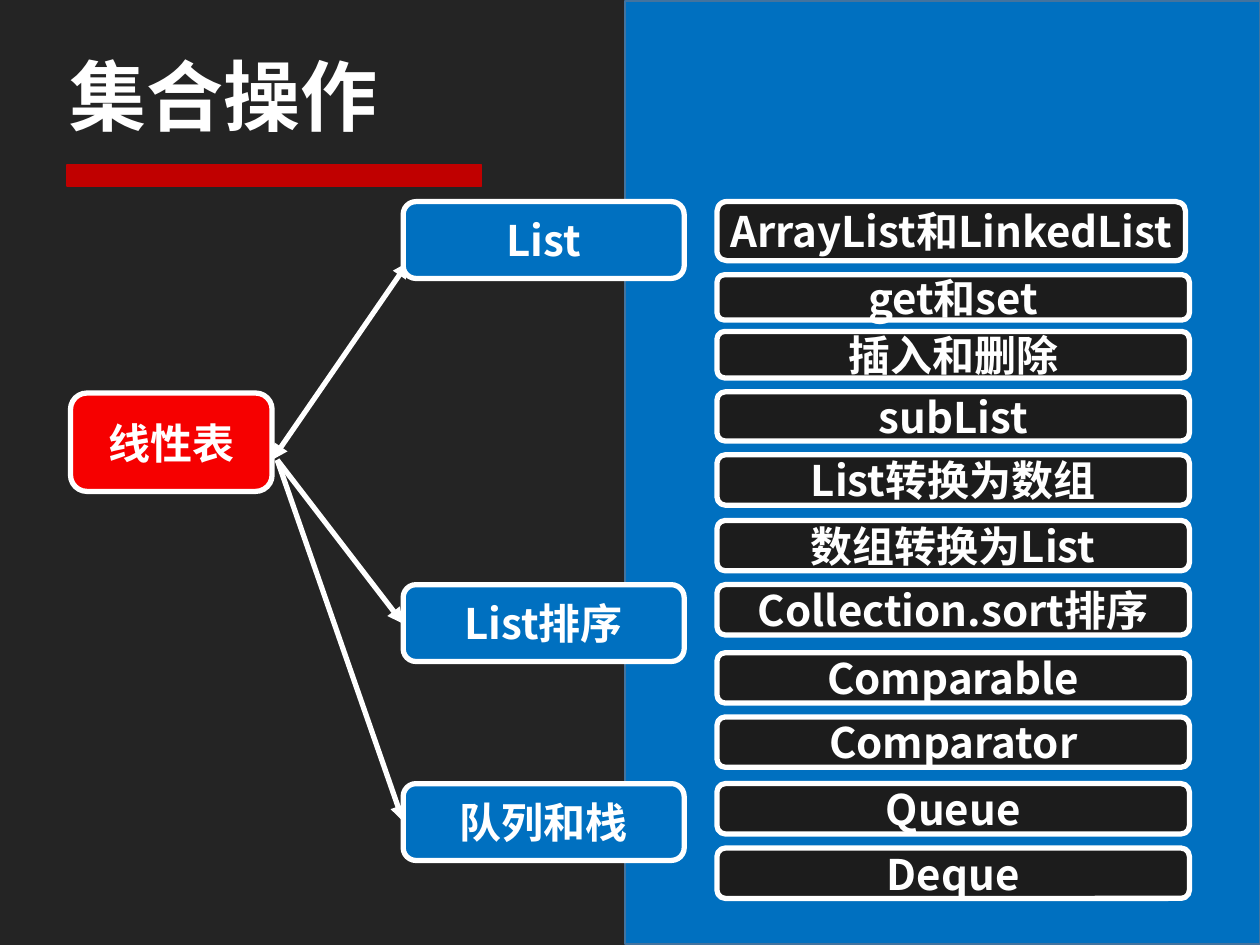
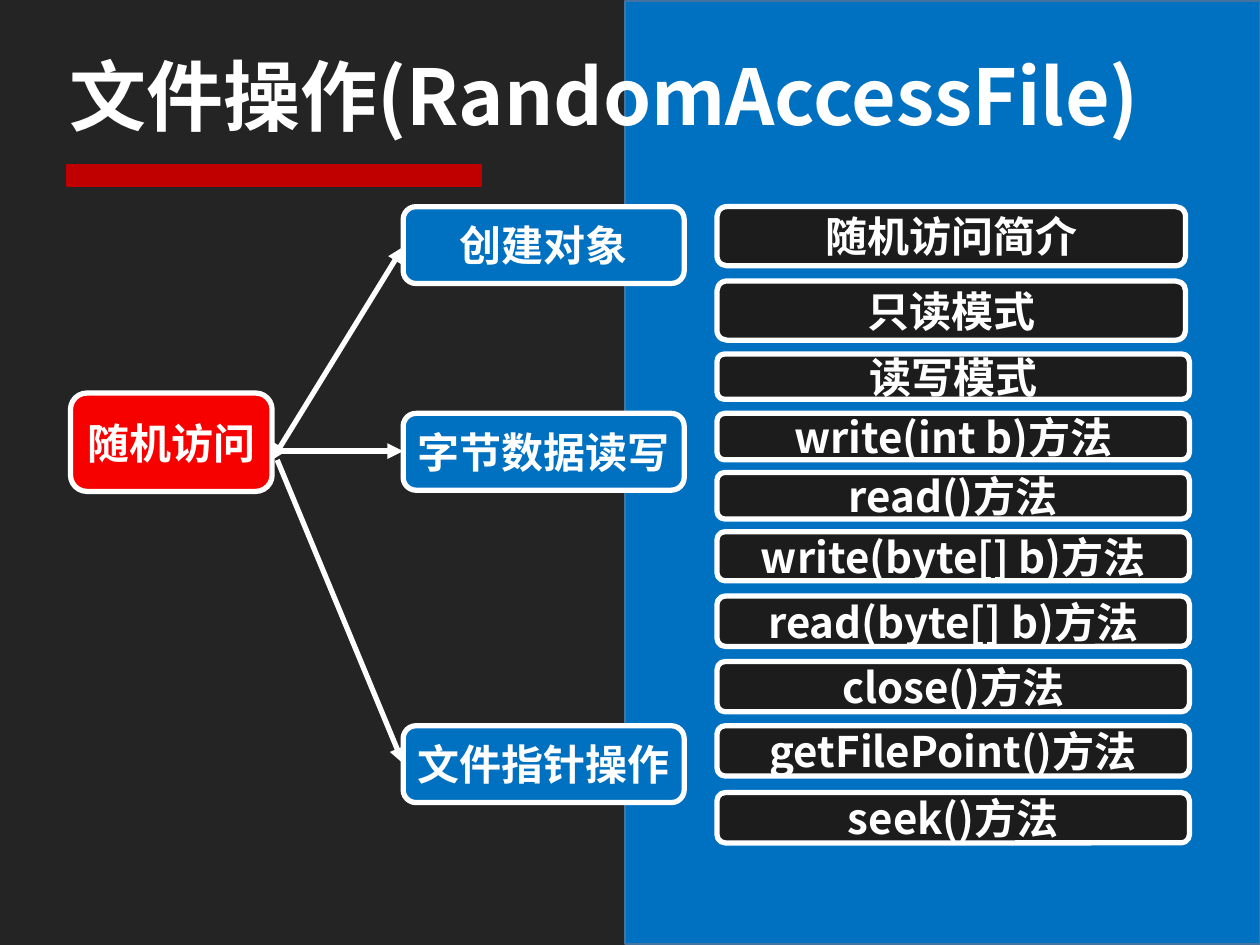
"""Build two topic-map slides on Java collections and random file access."""
from lxml.etree import SubElement
from pptx import Presentation
from pptx.dml.color import RGBColor
from pptx.enum.shapes import MSO_CONNECTOR as Connector, MSO_SHAPE as Shape
from pptx.enum.text import MSO_ANCHOR as Anchor, MSO_AUTO_SIZE as AutoSize, PP_ALIGN as Align
from pptx.oxml.ns import qn
from pptx.util import Pt

TOPIC_MAPS = [
    {
        "title": "集合操作",
        "root": "线性表",
        "branches": [
            ("List", 115.2, (155.5, 262.8), (233.3, 149.8)),
            ("List排序", 334.1, (158.4, 262.8), (230.4, 356.4)),
            ("队列和栈", 447.8, (158.4, 262.8), (230.4, 469.4)),
        ],
        "details": [
            ("ArrayList和LinkedList", 115.2, 33.8),
            ("get和set", 157, 25.9),
            ("插入和删除", 189.4, 26.6),
            ("subList", 223.9, 28.1),
            ("List转换为数组", 259.9, 28.8),
            ("数组转换为List", 297.4, 28.8),
            ("Collection.sort排序", 334.1, 28.8),
            ("Comparable", 373, 28.8),
            ("Comparator", 409.7, 28.8),
            ("Queue", 447.8, 28.8),
            ("Deque", 484.6, 28.8),
        ],
    },
    {
        "title": "文件操作(RandomAccessFile)",
        "root": "随机访问",
        "branches": [
            ("创建对象", 118.1, (155.5, 262.8), (230.4, 141.1)),
            ("字节数据读写", 236.2, (158.4, 257.8), (230.4, 257.8)),
            ("文件指针操作", 414.7, (158.4, 262.8), (230.4, 436.3)),
        ],
        "details": [
            ("随机访问简介", 118.1, 33.8),
            ("只读模式", 160.6, 33.8),
            ("读写模式", 202.3, 25.9),
            ("write(int b)方法", 236.2, 26.6),
            ("read()方法", 270, 26.6),
            ("write(byte[] b)方法", 303.8, 28.1),
            ("read(byte[] b)方法", 340.6, 28.8),
            ("close()方法", 378, 28.8),
            ("getFilePoint()方法", 414.7, 28.8),
            ("seek()方法", 452.9, 28.8),
        ],
    },
]

FONT = "Noto Sans CJK SC"
WHITE = RGBColor(0xFF, 0xFF, 0xFF)
CHARCOAL = RGBColor(0x24, 0x24, 0x24)
BLACK = RGBColor(0x1C, 0x1C, 0x1C)
BLUE = RGBColor(0x00, 0x70, 0xC0)
PANEL_EDGE = RGBColor(0x43, 0x73, 0x9E)
RED = RGBColor(0xF6, 0x00, 0x00)
DARK_RED = RGBColor(0xC0, 0x00, 0x00)

TITLE_BOX = (32.4, 16.6, 654.5, 74.9)
PANEL_BOX = (357.1, 0.7, 362.9, 538.6)
UNDERLINE_BOX = (38.2, 94.3, 236.9, 12.2)
ROOT_BOX = (40.3, 224.6, 115.2, 56.2)
BRANCH_LEFT, BRANCH_WIDTH, BRANCH_HEIGHT = 230.4, 160.6, 43.9
DETAIL_LEFT, DETAIL_WIDTH, TALL_DETAIL_WIDTH, TALL_HEIGHT = 409.7, 270, 267.8, 33.8


def points(lengths):
    return [Pt(length) for length in lengths]


def write(frame, text, size, alignment):
    frame.text = text
    frame.vertical_anchor = Anchor.MIDDLE
    paragraph = frame.paragraphs[0]
    paragraph.alignment = alignment
    font = paragraph.font
    font.size, font.bold, font.name = Pt(size), True, FONT
    font.color.rgb = WHITE
    defaults = paragraph._p.pPr.find(qn("a:defRPr"))
    SubElement(defaults, qn("a:ea"), typeface=FONT)


def add_block(slide, kind, box, fill, edge, edge_width):
    block = slide.shapes.add_shape(kind, *points(box))
    block.shadow.inherit = False
    block.fill.solid()
    block.fill.fore_color.rgb = fill
    block.line.color.rgb = edge
    block.line.width = Pt(edge_width)
    return block


def add_node(slide, text, box, fill):
    frame = add_block(slide, Shape.FLOWCHART_ALTERNATE_PROCESS, box, fill, WHITE, 3).text_frame
    frame.word_wrap = False
    frame.margin_left = frame.margin_right = Pt(8)
    frame.margin_top = frame.margin_bottom = Pt(4)
    write(frame, text, 24, Align.CENTER)


def add_arrow(slide, start, end, both_ends):
    arrow = slide.shapes.add_connector(Connector.STRAIGHT, *points(start + end))
    arrow.line.color.rgb = WHITE
    arrow.line.width = Pt(3)
    line = arrow.line._get_or_add_ln()
    if both_ends:
        SubElement(line, qn("a:headEnd"), type="triangle")
    SubElement(line, qn("a:tailEnd"), type="triangle")
    SubElement(arrow._element.spPr, qn("a:effectLst"))


def add_frame(slide, title_text):
    panel = add_block(slide, Shape.RECTANGLE, PANEL_BOX, BLUE, PANEL_EDGE, 1)
    slide.shapes._spTree.insert(2, panel._element)
    title = slide.shapes.title
    title.left, title.top, title.width, title.height = points(TITLE_BOX)
    title.text_frame.auto_size = AutoSize.NONE
    write(title.text_frame, title_text, 44, Align.LEFT)
    add_block(slide, Shape.RECTANGLE, UNDERLINE_BOX, DARK_RED, DARK_RED, 1)


def add_topic_map(deck, topic):
    slide = deck.slides.add_slide(deck.slide_layouts.get_by_name("Title Only"))
    add_frame(slide, topic["title"])
    add_node(slide, topic["root"], ROOT_BOX, RED)
    for index, (label, top, start, end) in enumerate(topic["branches"]):
        add_arrow(slide, start, end, both_ends=index == 0)
        add_node(slide, label, (BRANCH_LEFT, top, BRANCH_WIDTH, BRANCH_HEIGHT), BLUE)
    for label, top, height in topic["details"]:
        width = TALL_DETAIL_WIDTH if height == TALL_HEIGHT else DETAIL_WIDTH
        add_node(slide, label, (DETAIL_LEFT, top, width, height), BLACK)


def main():
    deck = Presentation()
    deck.slide_width, deck.slide_height = points((720, 540))
    backdrop = deck.slide_master.background.fill
    backdrop.solid()
    backdrop.fore_color.rgb = CHARCOAL
    for topic in TOPIC_MAPS:
        add_topic_map(deck, topic)
    deck.save("out.pptx")


if __name__ == "__main__":
    main()
